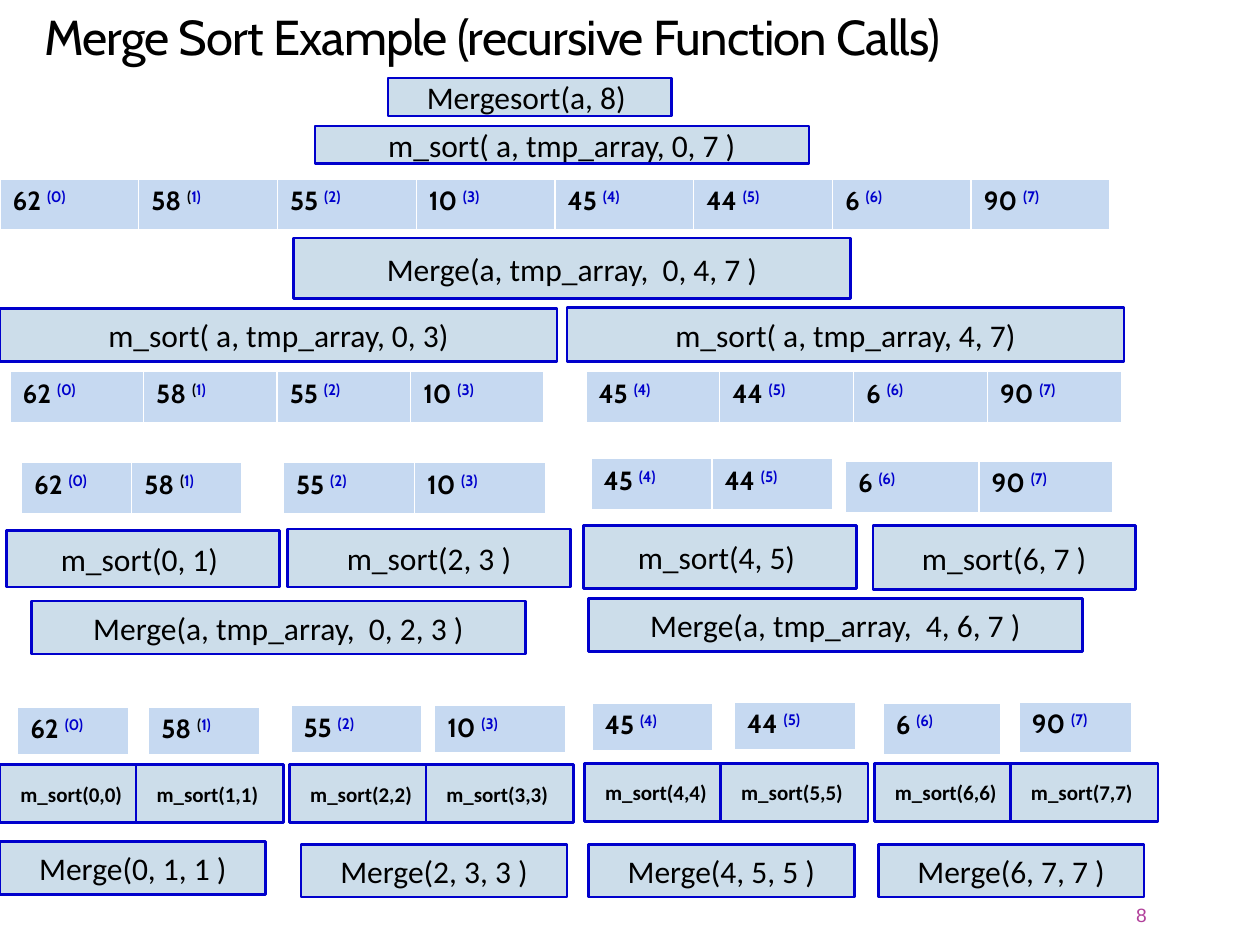
from typing import NamedTuple

from lxml import etree
from pptx import Presentation
from pptx.dml.color import RGBColor
from pptx.enum import shapes, text
from pptx.oxml.ns import qn
from pptx.util import Inches, Pt

BLACK = RGBColor(0x00, 0x00, 0x00)
WHITE = RGBColor(0xFF, 0xFF, 0xFF)
BLUE = RGBColor(0x00, 0x00, 0xCC)
CALL_FILL = RGBColor(0xCC, 0xDD, 0xEA)
CELL_FILL = RGBColor(0xC6, 0xD9, 0xF1)
PURPLE = RGBColor(0xB1, 0x3F, 0x9A)

VALUES = (62, 58, 55, 10, 45, 44, 6, 90)
BORDERS = (("a:lnL", 1), ("a:lnR", 1), ("a:lnT", 1), ("a:lnB", 3))


class Call(NamedTuple):
    label: str
    left: float
    top: float
    width: float
    height: float
    size: int = 18
    bold: bool = False


class Segment(NamedTuple):
    """A stretch of the array, from index first to index last."""
    first: int
    last: int
    left: float
    top: float
    width: float
    height: float = 0.42


CALLS = [
    Call("Mergesort(a, 8) ", 3.08, 0.62, 2.25, 0.3),
    Call(" m_sort( a, tmp_array, 0, 7 ) ", 2.5, 1, 3.92, 0.3),
    Call("m_sort( a, tmp_array, 0, 3)", 0, 2.45, 4.42, 0.42),
    Call("m_sort( a, tmp_array, 4, 7)", 4.5, 2.44, 4.42, 0.43),
    Call("m_sort(0, 1) ", 0.05, 4.21, 2.17, 0.45),
    Call("m_sort(2, 3 )", 2.28, 4.2, 2.25, 0.46),
    Call("m_sort(4, 5) ", 4.63, 4.17, 2.17, 0.5),
    Call("m_sort(6, 7 )", 6.93, 4.17, 2.08, 0.51),
    Call("Merge(a, tmp_array,  0, 4, 7 )", 2.33, 1.89, 4.42, 0.48),
    Call("Merge(a, tmp_array,  0, 2, 3 )", 0.25, 4.77, 3.92, 0.42),
    Call("Merge(a, tmp_array,  4, 6, 7 )", 4.67, 4.75, 3.92, 0.42),
]
# Single-element calls stand in pairs, 1.08 inches apart within a pair
for pair, (pair_left, pair_top) in enumerate(
        [(0, 6.07), (2.3, 6.07), (4.64, 6.06), (6.94, 6.06)]):
    for side in range(2):
        index = 2 * pair + side
        CALLS.append(Call(f"m_sort({index},{index}) ", pair_left + 1.08 * side,
                          pair_top, 1.17, 0.46, 12, True))
for pair, (merge_left, merge_top) in enumerate(
        [(0, 6.68), (2.39, 6.7), (4.67, 6.7), (6.97, 6.7)]):
    low, high = 2 * pair, 2 * pair + 1
    CALLS.append(Call(f"Merge({low}, {high}, {high} )", merge_left, merge_top, 2.11, 0.42))

SEGMENTS = [
    Segment(0, 7, 0, 1.42, 8.81),
    Segment(0, 3, 0.08, 2.95, 4.24),
    Segment(4, 7, 4.65, 2.95, 4.25),
    Segment(0, 1, 0.17, 3.67, 1.75),
    Segment(2, 3, 2.25, 3.67, 2.08),
    Segment(4, 5, 4.69, 3.64, 1.92),
    Segment(6, 7, 6.71, 3.66, 2.12),
    Segment(0, 0, 0.14, 5.61, 0.88, 0.39),
    Segment(1, 1, 1.18, 5.61, 0.88, 0.39),
    Segment(2, 2, 2.31, 5.6, 1.04, 0.39),
    Segment(3, 3, 3.45, 5.6, 1.04, 0.39),
    Segment(4, 4, 4.7, 5.58, 0.96, 0.39),
    Segment(5, 5, 5.83, 5.57, 0.96, 0.39),
    Segment(6, 6, 7.01, 5.58, 0.93),
    Segment(7, 7, 8.09, 5.57, 0.89),
]


def add_run(para, words: str, font: str, size: float, color: RGBColor, bold: bool = False):
    span = para.add_run()
    span.text = words
    span.font.name = font
    span.font.size = Pt(size)
    span.font.bold = bold
    span.font.color.rgb = color
    return span


def place(shape, left: float, top: float, width: float, height: float) -> None:
    shape.left, shape.top = Inches(left), Inches(top)
    shape.width, shape.height = Inches(width), Inches(height)


def add_title(page, words: str) -> None:
    title = page.shapes.title
    place(title, 0.25, 0, 8.67, 0.57)
    title.text_frame.vertical_anchor = text.MSO_ANCHOR.BOTTOM
    para = title.text_frame.paragraphs[0]
    para.alignment = text.PP_ALIGN.LEFT
    para.line_spacing = 0.85
    span = add_run(para, words, "Cabin", 28, BLACK)
    span.font._element.set("spc", "-50")


def add_call(page, call: Call) -> None:
    box = page.shapes.add_shape(shapes.MSO_SHAPE.RECTANGLE, Inches(call.left), Inches(call.top),
                                Inches(call.width), Inches(call.height))
    box.shadow.inherit = False
    box.fill.solid()
    box.fill.fore_color.rgb = CALL_FILL
    box.line.color.rgb = BLUE
    box.line.width = Pt(1.5)
    box.text_frame.vertical_anchor = text.MSO_ANCHOR.MIDDLE
    para = box.text_frame.paragraphs[0]
    para.alignment = text.PP_ALIGN.CENTER
    add_run(para, call.label, "Calibri", call.size, BLACK, call.bold)


def add_borders(cell) -> None:
    properties = cell._tc.get_or_add_tcPr()
    for tag, points in BORDERS:
        line = etree.SubElement(properties, qn(tag), w=str(Pt(points)))
        fill = etree.SubElement(line, qn("a:solidFill"))
        etree.SubElement(fill, qn("a:srgbClr"), val=str(WHITE))


def fill_cell(cell, index: int) -> None:
    """Write the array value with its index raised after it."""
    add_borders(cell)
    cell.fill.solid()
    cell.fill.fore_color.rgb = CELL_FILL
    para = cell.text_frame.paragraphs[0]
    add_run(para, f"{VALUES[index]} ", "Cabin", 15, BLACK, True)
    if index == 1:
        raised = [("(", BLACK), ("1)", BLUE)]
    else:
        raised = [(f"({index})", BLUE)]
    for words, color in raised:
        span = add_run(para, words, "Cabin", 15, color, True)
        span.font._element.set("baseline", "30000")


def add_segment(page, segment: Segment) -> None:
    count = segment.last - segment.first + 1
    table = page.shapes.add_table(1, count, Inches(segment.left), Inches(segment.top),
                                  Inches(segment.width), Inches(segment.height)).table
    table.first_row = False
    table.horz_banding = False
    for column in range(count):
        fill_cell(table.cell(0, column), segment.first + column)


def add_page_number(page, number: int) -> None:
    box = page.shapes.add_textbox(Inches(8.12), Inches(7.06), Inches(1.08), Inches(0.4))
    box.text_frame.word_wrap = True
    box.text_frame.vertical_anchor = text.MSO_ANCHOR.MIDDLE
    para = box.text_frame.paragraphs[0]
    para.alignment = text.PP_ALIGN.RIGHT
    add_run(para, str(number), "Arial", 11, PURPLE)


def main() -> None:
    deck = Presentation()
    deck.slide_width, deck.slide_height = Inches(10), Inches(7.5)
    page = deck.slides.add_slide(deck.slide_layouts[5])
    add_title(page, "Merge Sort Example (recursive Function Calls)")
    for call in CALLS:
        add_call(page, call)
    for segment in SEGMENTS:
        add_segment(page, segment)
    add_page_number(page, 8)
    deck.save("out.pptx")


if __name__ == "__main__":
    main()
